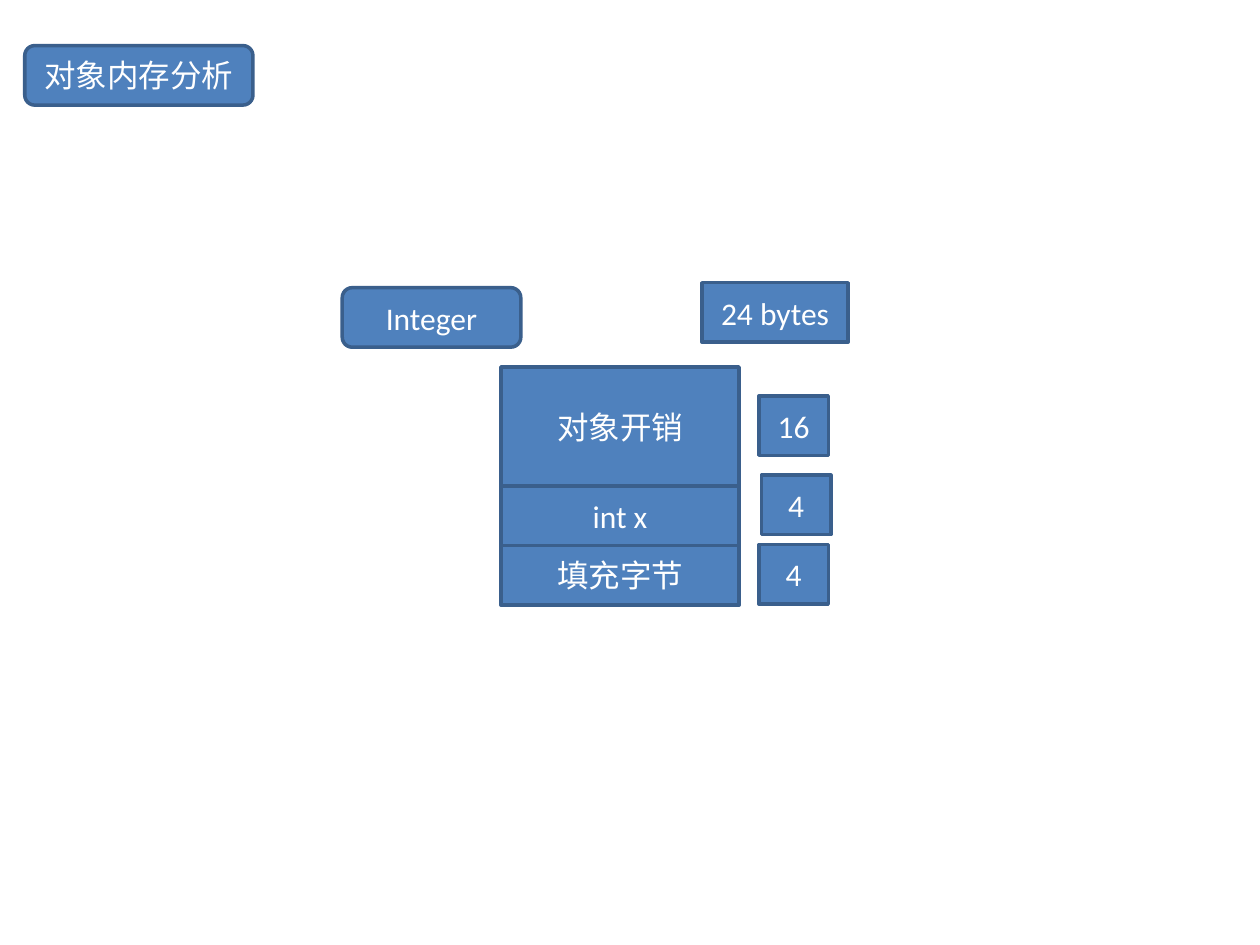
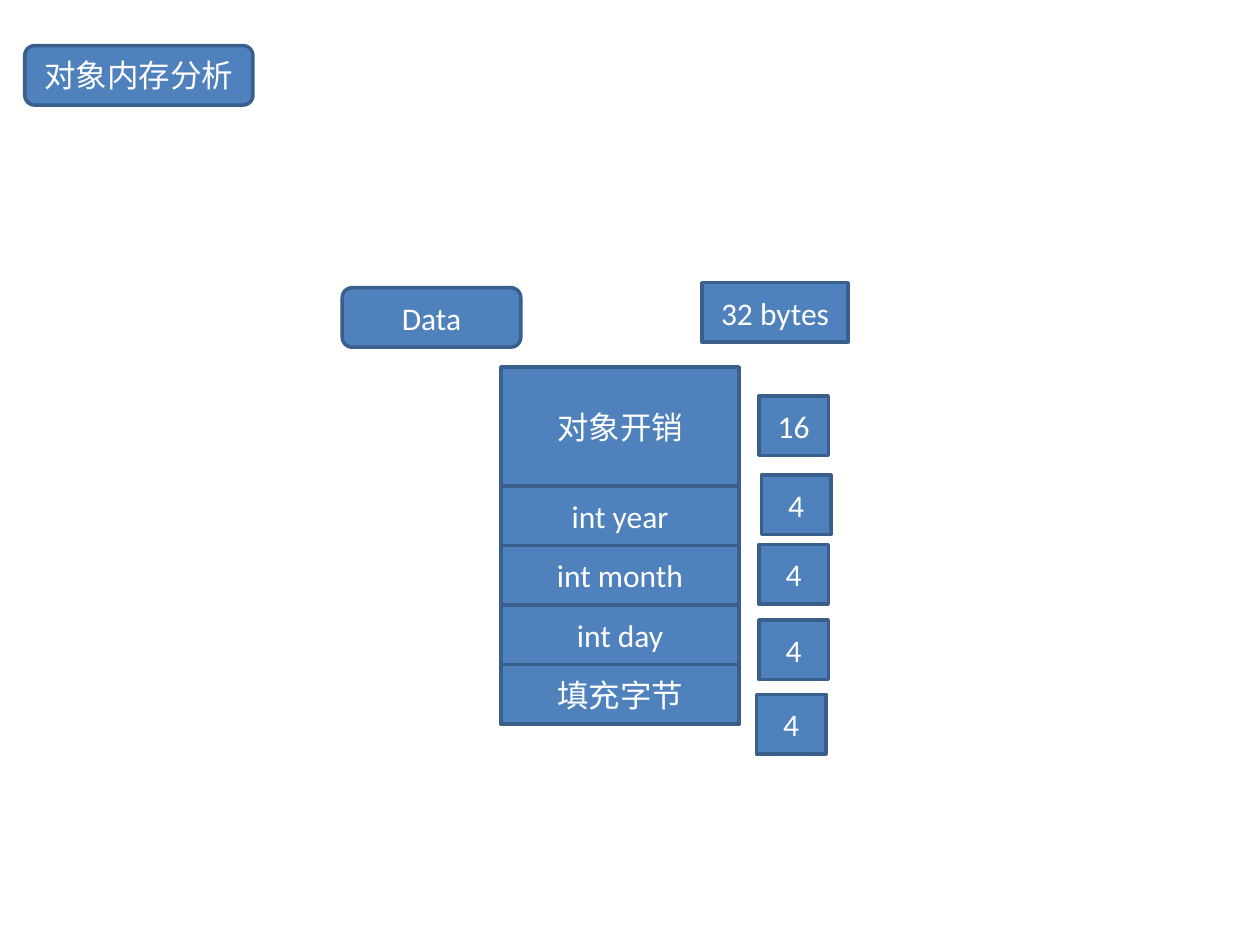
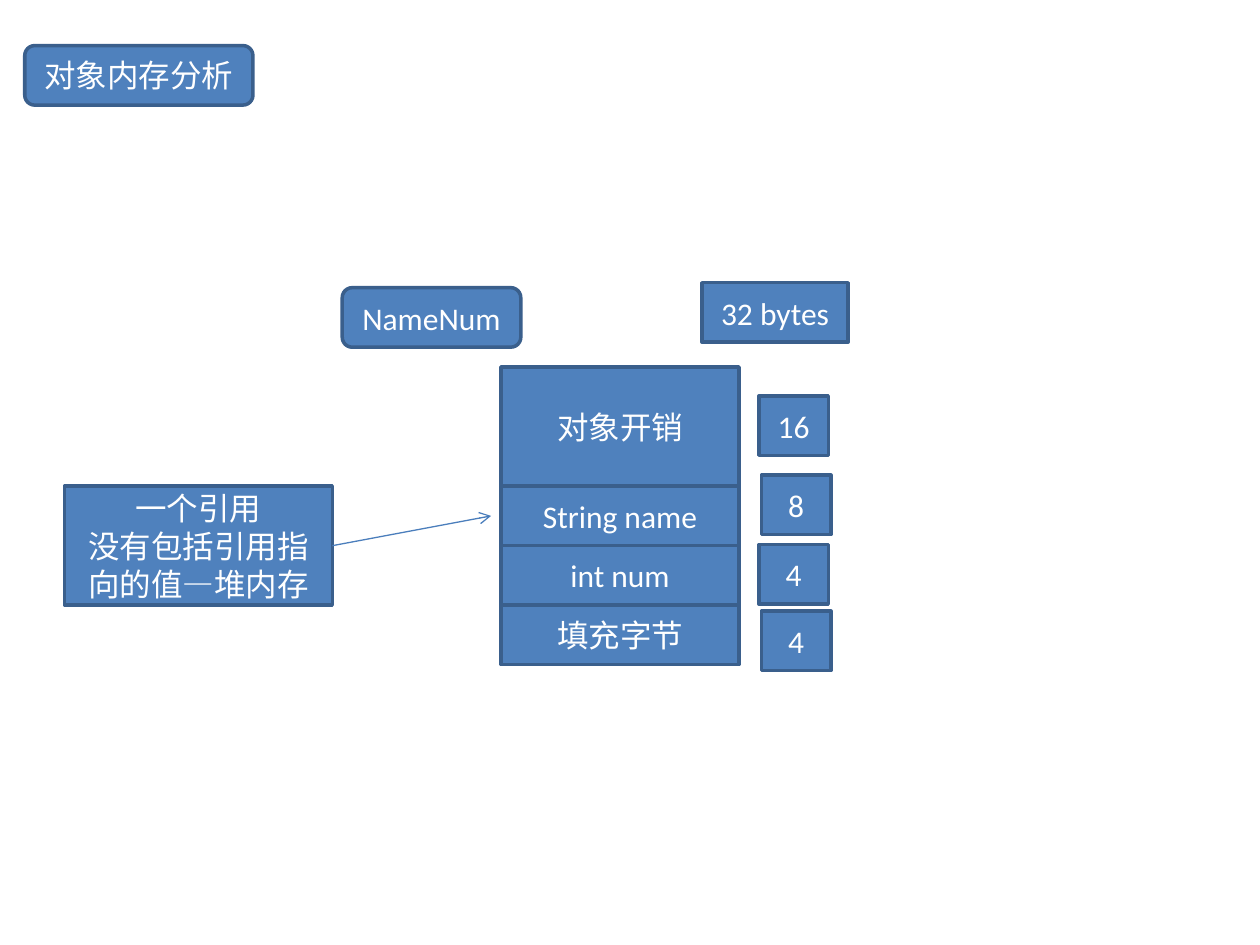
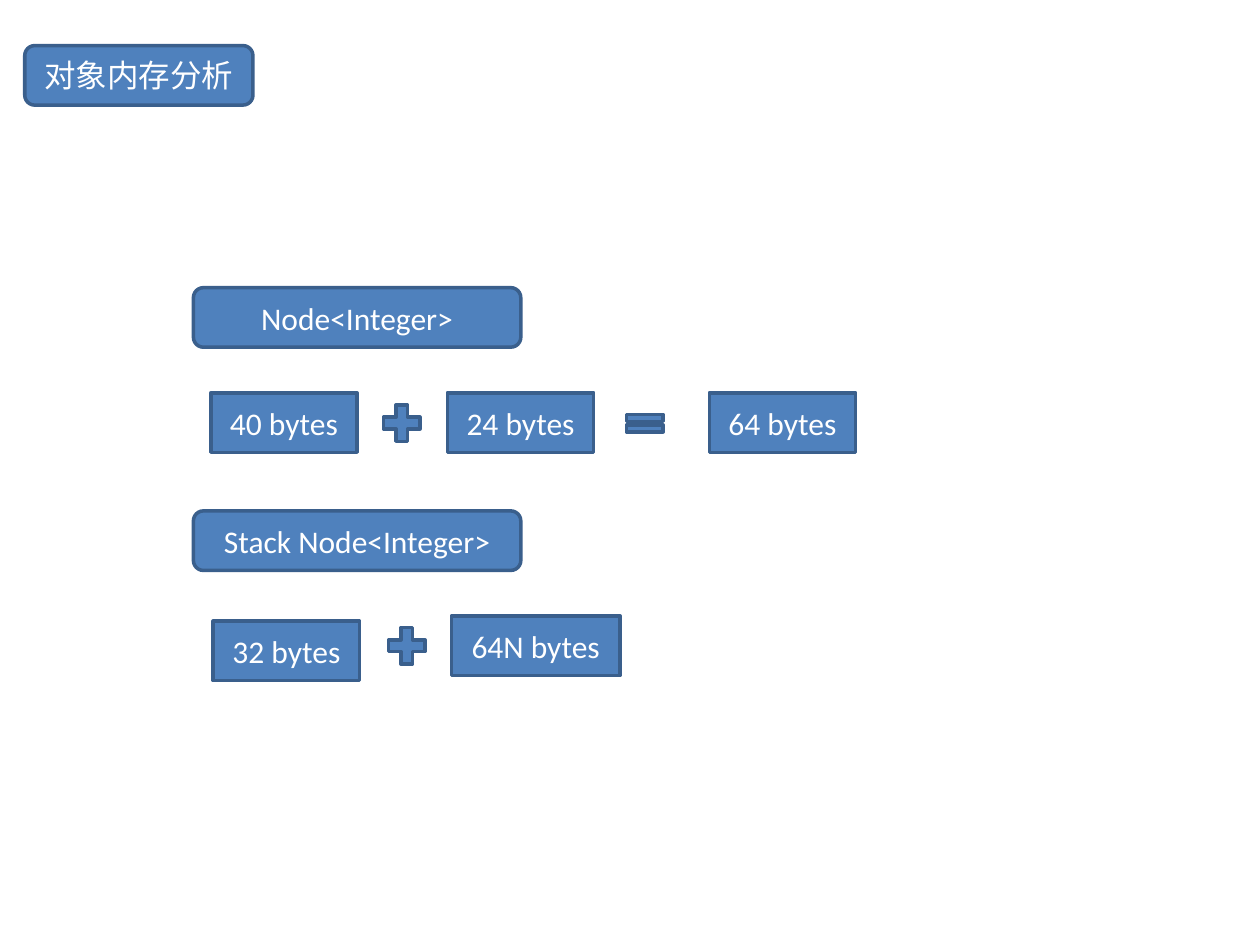
from dataclasses import dataclass

from lxml.etree import SubElement
from pptx import Presentation
from pptx.dml.color import RGBColor
from pptx.enum.shapes import MSO_CONNECTOR as Connector, MSO_SHAPE as Preset
from pptx.enum.text import MSO_ANCHOR as Anchor, PP_ALIGN as Align
from pptx.oxml.ns import qn
from pptx.util import Cm, Pt

FILL = RGBColor(0x4F, 0x81, 0xBD)
OUTLINE = RGBColor(0x3A, 0x5F, 0x8C)
ARROW = RGBColor(0x4B, 0x7E, 0xBC)
WHITE = RGBColor(0xFF, 0xFF, 0xFF)
FONT = "Calibri"

ROW = 1.2
COLUMN_LEFT = 10.1
COLUMN_TOP = 7.4
COLUMN_WIDTH = 4.8
BADGE_WIDTH = 1.4
TOTAL_WIDTH = 2.95
SIGN = 1.0
LABEL_TOP = 5.8


@dataclass(frozen=True)
class Box:
    left: float
    top: float
    width: float
    height: float = ROW
    text: str = ""
    preset: Preset = Preset.RECTANGLE


@dataclass(frozen=True)
class Field:
    name: str
    size: int
    badge_left: float
    badge_top: float
    rows: int = 1


@dataclass(frozen=True)
class Layout:
    name: str
    total: str
    fields: tuple[Field, ...]


def draw_box(page, box: Box) -> None:
    shape = page.shapes.add_shape(
        box.preset, Cm(box.left), Cm(box.top), Cm(box.width), Cm(box.height))
    shape.shadow.inherit = False
    shape.fill.solid()
    shape.fill.fore_color.rgb = FILL
    shape.line.color.rgb = OUTLINE
    shape.line.width = Pt(2)
    if not box.text:
        return
    frame = shape.text_frame
    frame.word_wrap = True
    frame.vertical_anchor = Anchor.MIDDLE
    for index, line in enumerate(box.text.split("\n")):
        para = frame.add_paragraph() if index else frame.paragraphs[0]
        para.alignment = Align.CENTER
        span = para.add_run()
        span.text = line
        span.font.name = FONT
        span.font.size = Pt(18)
        span.font.color.rgb = WHITE


def draw_label(page, left: float, top: float, width: float, text: str) -> None:
    draw_box(page, Box(left, top, width, ROW, text, Preset.ROUNDED_RECTANGLE))


def draw_arrow(page, left: float, top: float, right: float, bottom: float) -> None:
    arrow = page.shapes.add_connector(
        Connector.STRAIGHT, Cm(left), Cm(top), Cm(right), Cm(bottom))
    arrow.line.color.rgb = ARROW
    arrow.line.width = Pt(0.75)
    SubElement(arrow.line._get_or_add_ln(), qn("a:tailEnd"), type="arrow")
    SubElement(arrow._element.spPr, qn("a:effectLst"))


def add_page(deck):
    page = deck.slides.add_slide(deck.slide_layouts[6])
    draw_label(page, 0.5, 0.92, 4.6, "对象内存分析")
    return page


def add_layout_page(deck, layout: Layout):
    page = add_page(deck)
    draw_label(page, 6.9, LABEL_TOP, 3.6, layout.name)
    draw_box(page, Box(14.15, 5.7, TOTAL_WIDTH, text=layout.total))
    top = COLUMN_TOP
    for field in layout.fields:
        height = field.rows * ROW
        draw_box(page, Box(COLUMN_LEFT, top, COLUMN_WIDTH, height, field.name))
        draw_box(page, Box(field.badge_left, field.badge_top, BADGE_WIDTH,
                           text=str(field.size)))
        top += height
    return page


def add_sum_page(deck) -> None:
    page = add_page(deck)
    for top, name in ((LABEL_TOP, "Node<Integer>"), (10.3, "Stack Node<Integer>")):
        draw_label(page, 3.9, top, 6.6, name)
    for box in (
        Box(4.25, 7.92, TOTAL_WIDTH, text="40 bytes"),
        Box(7.6, 8.03, SIGN, SIGN, preset=Preset.MATH_PLUS),
        Box(9.02, 7.92, TOTAL_WIDTH, text="24 bytes"),
        Box(12.5, 8.23, SIGN, 0.6, preset=Preset.MATH_EQUAL),
        Box(14.3, 7.92, TOTAL_WIDTH, text="64 bytes"),
        Box(4.3, 12.52, TOTAL_WIDTH, text="32 bytes"),
        Box(7.7, 12.52, SIGN, SIGN, preset=Preset.MATH_PLUS),
        Box(9.1, 12.42, 3.4, text="64N bytes"),
    ):
        draw_box(page, box)


OVERHEAD = Field("对象开销", 16, 15.3, 7.98, rows=2)
PADDING = "填充字节"

INTEGER = Layout("Integer", "24 bytes", (
    OVERHEAD,
    Field("int x", 4, 15.35, 9.58),
    Field(PADDING, 4, 15.3, 10.98),
))
DATA = Layout("Data", "32 bytes", (
    OVERHEAD,
    Field("int year", 4, 15.35, 9.58),
    Field("int month", 4, 15.3, 10.98),
    Field("int day", 4, 15.3, 12.5),
    Field(PADDING, 4, 15.25, 14.0),
))
NAME_NUM = Layout("NameNum", "32 bytes", (
    OVERHEAD,
    Field("String name", 8, 15.35, 9.58),
    Field("int num", 4, 15.3, 10.98),
    Field(PADDING, 4, 15.35, 12.32),
))

deck = Presentation()
deck.slide_width = Cm(25.4)
deck.slide_height = Cm(19.05)
add_layout_page(deck, INTEGER)
add_layout_page(deck, DATA)
reference_page = add_layout_page(deck, NAME_NUM)
draw_box(reference_page, Box(1.3, 9.8, 5.4, 2 * ROW,
                             "一个引用\n没有包括引用指向的值—堆内存"))
draw_arrow(reference_page, 6.7, 11.0, 9.9, 10.4)
add_sum_page(deck)
deck.save("out.pptx")
